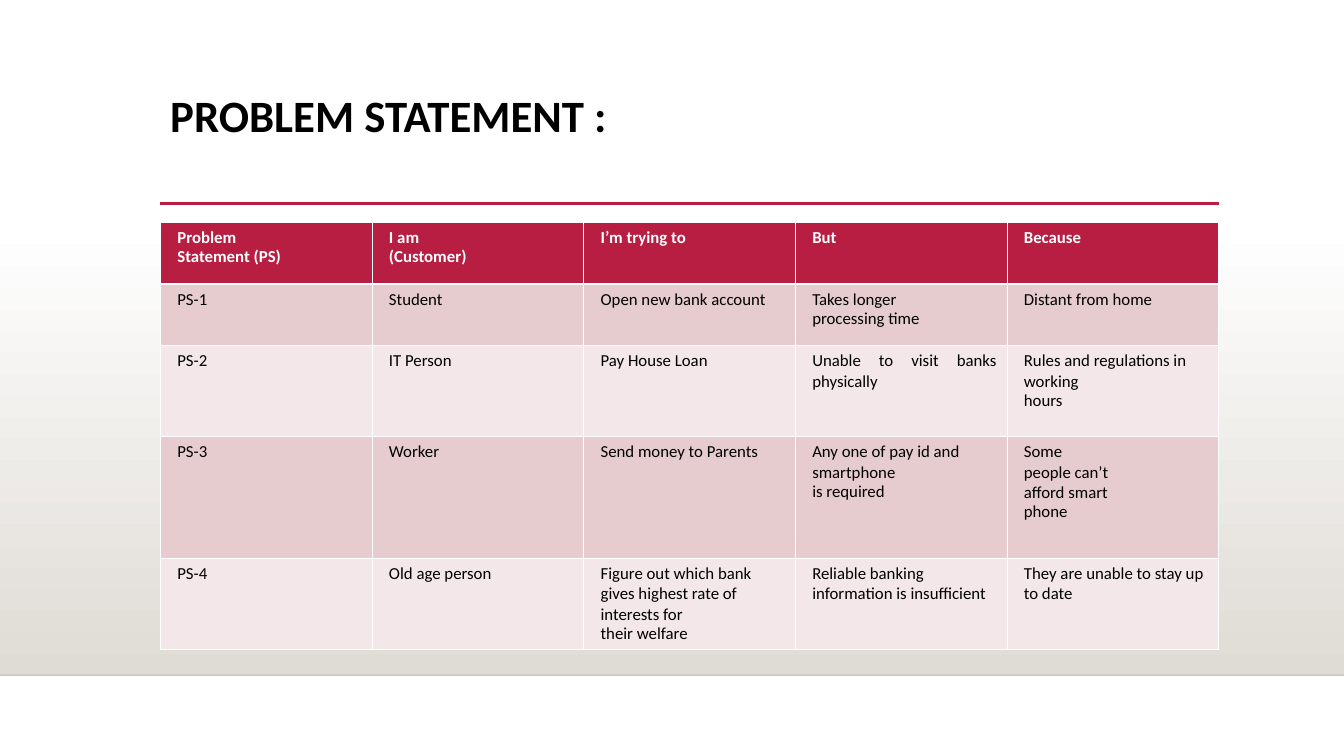
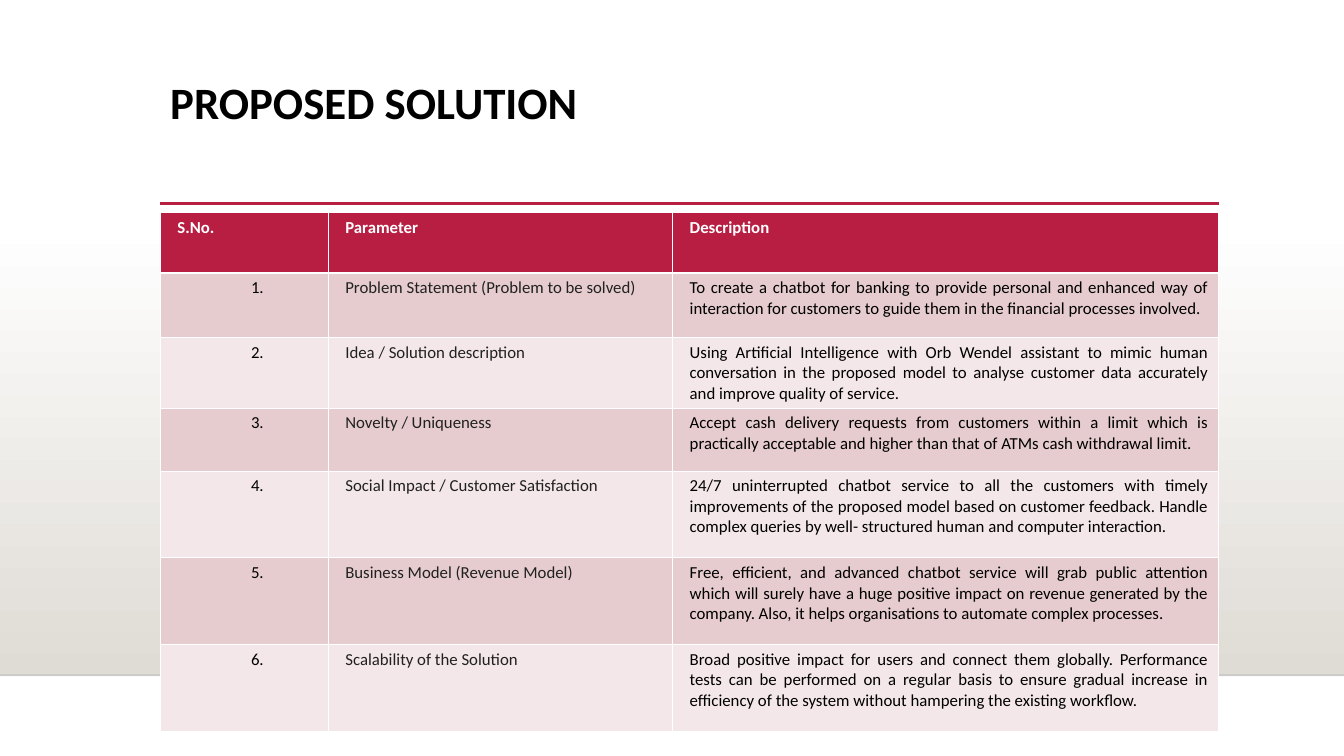
from dataclasses import dataclass, field

from lxml.etree import SubElement
from pptx import Presentation
from pptx.dml.color import RGBColor
from pptx.enum.shapes import MSO_CONNECTOR, MSO_SHAPE
from pptx.enum.text import MSO_ANCHOR, PP_ALIGN
from pptx.oxml import parse_xml
from pptx.oxml.ns import nsdecls, qn
from pptx.slide import Slide
from pptx.table import _Cell
from pptx.util import Pt


@dataclass(frozen=True)
class Theme:
    font: str = "Calibri"
    title_size: float = 32
    table_size: float = 12
    closing_line: float = 13.6
    accent: str = "B71E42"
    white: str = "FFFFFF"
    black: str = "000000"
    parameter_text: str = "212121"
    floor: str = "DFDBD5"
    bands: tuple[str, str] = ("E6CCCF", "F3E7E9")
    thin_border: float = 0.45
    header_border: float = 1.47


@dataclass(frozen=True)
class Column:
    width: float
    body_indent: float = 5
    alignment: PP_ALIGN = PP_ALIGN.LEFT
    color: str = "000000"


@dataclass(frozen=True)
class TableSlide:
    title: str
    title_top: float
    table_top: float
    columns: tuple[Column, ...]
    row_heights: tuple[float, ...]
    rows: tuple[tuple[str, ...], ...]
    alignments: dict[tuple[int, int], PP_ALIGN] = field(default_factory=dict)


THEME = Theme()
SLIDE_WIDTH = 960
SLIDE_HEIGHT = 540
CONTENT_LEFT = 114.5
CONTENT_WIDTH = 756
FLOOR_TOP = 159
FLOOR_BOTTOM = 482.4
RULE_TOP = 145.4
HEADER_INDENT = 5

PROBLEM_STATEMENT = TableSlide(
    title="PROBLEM STATEMENT :",
    title_top=63.4,
    table_top=158.9,
    columns=(Column(CONTENT_WIDTH / 5),) * 5,
    row_heights=(44, 44, 65, 87, 65),
    rows=(
        ("Problem\nStatement (PS)", "I am\n(Customer)", "I’m trying to", "But", "Because"),
        ("PS-1", "Student", "Open new bank account",
         "Takes longer\nprocessing time", "Distant from home"),
        ("PS-2", "IT Person", "Pay House Loan",
         "Unable to visit banks physically", "Rules and regulations in working\nhours"),
        ("PS-3", "Worker", "Send money to Parents",
         "Any one of pay id and smartphone\nis required",
         "Some\npeople can’t\nafford smart\nphone"),
        ("PS-4", "Old age person",
         "Figure out which bank gives highest rate of interests for\ntheir welfare",
         "Reliable banking information is insufficient",
         "They are unable to stay up to date"),
    ),
    alignments={(2, 3): PP_ALIGN.JUSTIFY},
)

PROPOSED_SOLUTION = TableSlide(
    title="PROPOSED SOLUTION",
    title_top=54,
    table_top=151.5,
    columns=(
        Column(120, body_indent=18.7, alignment=PP_ALIGN.CENTER),
        Column(246, color=THEME.parameter_text),
        Column(390, alignment=PP_ALIGN.JUSTIFY),
    ),
    row_heights=(43.5, 46, 48, 45, 62, 62, 62),
    rows=(
        ("S.No.", "Parameter", "Description"),
        ("1.", "Problem Statement (Problem to be solved)",
         "To create a chatbot for banking to provide personal and enhanced way of "
         "interaction for customers to guide them in the financial processes involved."),
        ("2.", "Idea / Solution description",
         "Using Artificial Intelligence with Orb Wendel assistant to mimic human "
         "conversation in the proposed model to analyse customer data accurately "
         "and improve quality of service."),
        ("3.", "Novelty / Uniqueness",
         "Accept cash delivery requests from customers within a limit which is "
         "practically acceptable and higher than that of ATMs cash withdrawal limit."),
        ("4.", "Social Impact / Customer Satisfaction",
         "24/7 uninterrupted chatbot service to all the customers with timely "
         "improvements of the proposed model based on customer feedback. Handle "
         "complex queries by well- structured human and computer interaction."),
        ("5.", "Business Model (Revenue Model)",
         "Free, efficient, and advanced chatbot service will grab public attention "
         "which will surely have a huge positive impact on revenue generated by the "
         "company. Also, it helps organisations to automate complex processes."),
        ("6.", "Scalability of the Solution",
         "Broad positive impact for users and connect them globally. Performance "
         "tests can be performed on a regular basis to ensure gradual increase in "
         "efficiency of the system without hampering the existing workflow."),
    ),
)


def rgb(color: str) -> RGBColor:
    return RGBColor.from_string(color)


def format_runs(paragraph, size: float, color: str, bold: bool) -> None:
    for run in paragraph.runs:
        run.font.name = THEME.font
        run.font.size = Pt(size)
        run.font.bold = bold
        run.font.color.rgb = rgb(color)


def add_horizontal_line(slide: Slide, left: float, top: float, width: float,
                        color: str, weight: float, opacity: int = 100) -> None:
    line = slide.shapes.add_connector(
        MSO_CONNECTOR.STRAIGHT, Pt(left), Pt(top), Pt(left + width), Pt(top))
    line.line.color.rgb = rgb(color)
    line.line.width = Pt(weight)
    properties = line._element.spPr
    if opacity < 100:
        color_element = properties.find(".//" + qn("a:srgbClr"))
        SubElement(color_element, qn("a:alpha")).set("val", str(opacity * 1000))
    SubElement(properties, qn("a:effectLst"))


def add_backdrop(slide: Slide) -> None:
    floor = slide.shapes.add_shape(
        MSO_SHAPE.RECTANGLE, 0, Pt(FLOOR_TOP), Pt(SLIDE_WIDTH), Pt(FLOOR_BOTTOM - FLOOR_TOP))
    floor.shadow.inherit = False
    floor.line.fill.background()
    floor.fill.gradient()
    floor.fill.gradient_angle = 270
    for stop, color in zip(floor.fill.gradient_stops, (THEME.white, THEME.floor)):
        stop.color.rgb = rgb(color)
    add_horizontal_line(slide, 0, FLOOR_BOTTOM, SLIDE_WIDTH, THEME.black, 1, opacity=20)
    add_horizontal_line(slide, CONTENT_LEFT, RULE_TOP, CONTENT_WIDTH, THEME.accent, 2.5)


def add_title(slide: Slide, text: str, top: float) -> None:
    title = slide.shapes.add_textbox(Pt(CONTENT_LEFT), Pt(top), Pt(CONTENT_WIDTH), Pt(83))
    text_frame = title.text_frame
    text_frame.word_wrap = True
    text_frame.vertical_anchor = MSO_ANCHOR.TOP
    text_frame.text = text
    paragraph = text_frame.paragraphs[0]
    paragraph.line_spacing = 0.9
    format_runs(paragraph, THEME.title_size, THEME.black, bold=True)


def set_borders(cell: _Cell, row_index: int) -> None:
    weights = {
        "lnL": THEME.thin_border,
        "lnR": THEME.thin_border,
        "lnT": THEME.header_border if row_index == 1 else THEME.thin_border,
        "lnB": THEME.header_border if row_index == 0 else THEME.thin_border,
    }
    properties = cell._tc.get_or_add_tcPr()
    for position, (side, weight) in enumerate(weights.items()):
        properties.insert(position, parse_xml(
            f'<a:{side} {nsdecls("a")} w="{int(Pt(weight))}"><a:solidFill>'
            f'<a:srgbClr val="{THEME.white}"/></a:solidFill></a:{side}>'))


def fill_cell(cell: _Cell, text: str, column: Column, row_index: int,
              alignment: PP_ALIGN) -> None:
    is_header = row_index == 0
    cell.fill.solid()
    cell.fill.fore_color.rgb = rgb(
        THEME.accent if is_header else THEME.bands[(row_index - 1) % 2])
    set_borders(cell, row_index)
    cell.text_frame.text = text
    paragraphs = cell.text_frame.paragraphs
    for paragraph in paragraphs:
        indent = HEADER_INDENT if is_header else column.body_indent
        paragraph._p.get_or_add_pPr().set("marL", str(int(Pt(indent))))
        paragraph.alignment = PP_ALIGN.LEFT if is_header else alignment
        format_runs(paragraph, THEME.table_size,
                    THEME.white if is_header else column.color, bold=is_header)
    if len(paragraphs) > 1:
        paragraphs[-1].line_spacing = Pt(THEME.closing_line)


def add_content_table(slide: Slide, content: TableSlide) -> None:
    table = slide.shapes.add_table(
        len(content.rows), len(content.columns), Pt(CONTENT_LEFT), Pt(content.table_top),
        Pt(CONTENT_WIDTH), Pt(sum(content.row_heights))).table
    for table_column, column in zip(table.columns, content.columns):
        table_column.width = Pt(column.width)
    for row_index, (height, texts) in enumerate(zip(content.row_heights, content.rows)):
        table.rows[row_index].height = Pt(height)
        for column_index, (column, text) in enumerate(zip(content.columns, texts)):
            alignment = content.alignments.get((row_index, column_index), column.alignment)
            fill_cell(table.cell(row_index, column_index), text, column, row_index, alignment)


def main() -> None:
    presentation = Presentation()
    presentation.slide_width = Pt(SLIDE_WIDTH)
    presentation.slide_height = Pt(SLIDE_HEIGHT)
    blank_layout = presentation.slide_layouts[6]
    for content in (PROBLEM_STATEMENT, PROPOSED_SOLUTION):
        slide = presentation.slides.add_slide(blank_layout)
        add_backdrop(slide)
        add_title(slide, content.title, content.title_top)
        add_content_table(slide, content)
    presentation.save("out.pptx")


if __name__ == "__main__":
    main()
